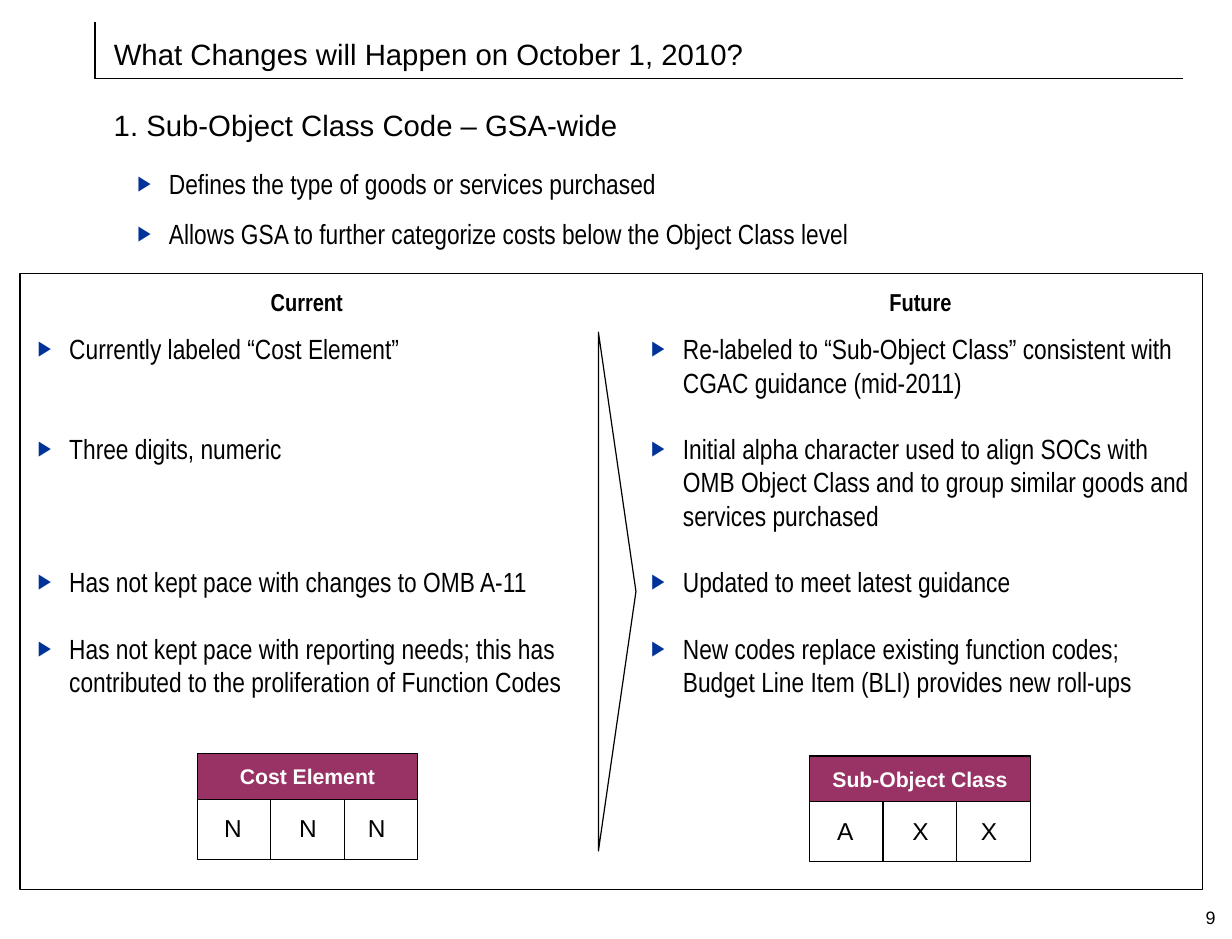
import pptx
import pptx.util
import pptx.dml.color
import pptx.enum.shapes
import pptx.enum.text
import pptx.oxml.ns
import lxml.etree

Inches = pptx.util.Inches
Pt = pptx.util.Pt
RGB = pptx.dml.color.RGBColor
Shape = pptx.enum.shapes.MSO_SHAPE
Align = pptx.enum.text.PP_ALIGN
Anchor = pptx.enum.text.MSO_ANCHOR

BLACK = RGB(0x00, 0x00, 0x00)
WHITE = RGB(0xFF, 0xFF, 0xFF)
PLUM = RGB(0x99, 0x33, 0x66)
BLUE = RGB(0x00, 0x33, 0x99)

NARROW = "Arial Narrow"
ROW = 20.4  # height of one line of list text, in points


def add_sub(parent, tag, **attrs):
    return lxml.etree.SubElement(parent, pptx.oxml.ns.qn(tag), **attrs)


def add_bullet(para):
    props = para._p.get_or_add_pPr()
    props.set("marL", str(Inches(0.27)))
    props.set("indent", str(-Inches(0.27)))
    color = add_sub(props, "a:buClr")
    add_sub(color, "a:srgbClr", val=str(BLUE))
    add_sub(props, "a:buSzPct", val="75000")
    add_sub(props, "a:buFont", typeface="Arial")
    add_sub(props, "a:buChar", char="▶")


def write(shape, lines, size=15, font="Arial", color=BLACK, bold=False,
          align=Align.LEFT, anchor=Anchor.TOP, pad=(0.05, 0.05),
          gaps=None, space=None, bullet=False):
    frame = shape.text_frame
    frame.word_wrap = True
    frame.vertical_anchor = anchor
    frame.margin_left = frame.margin_right = Inches(pad[0])
    frame.margin_top = frame.margin_bottom = Inches(pad[1])
    for i, line in enumerate(lines):
        para = frame.add_paragraph() if i else frame.paragraphs[0]
        para.alignment = align
        if space:
            para.line_spacing = space
        if gaps and gaps[i]:
            para.space_before = Pt(gaps[i])
        if bullet:
            add_bullet(para)
        run = para.add_run()
        run.text = line
        run.font.size = Pt(size)
        run.font.name = font
        run.font.bold = bold
        run.font.color.rgb = color


def add_text(slide, box, *lines, **style):
    shape = slide.shapes.add_textbox(*map(Inches, box))
    write(shape, lines, **style)


def add_list(slide, box, lines, gaps):
    add_text(slide, box, *lines, size=17, font=NARROW, pad=(0, 0),
             gaps=gaps, bullet=True)


def add_box(slide, box, kind=Shape.RECTANGLE, fill=None):
    shape = slide.shapes.add_shape(kind, *map(Inches, box))
    shape.shadow.inherit = False
    if fill is None:
        shape.fill.background()
    else:
        shape.fill.solid()
        shape.fill.fore_color.rgb = fill
    shape.line.color.rgb = BLACK
    shape.line.width = Pt(0.75)
    return shape


def add_line(slide, *ends):
    straight = pptx.enum.shapes.MSO_CONNECTOR.STRAIGHT
    line = slide.shapes.add_connector(straight, *map(Inches, ends))
    line.line.color.rgb = BLACK
    line.line.width = Pt(0.75)
    add_sub(line._element.spPr, "a:effectLst")


def add_code(slide, left, top, title, marks):
    """A titled box split into three cells, one mark in each."""
    width, high, body = 1.88, 0.52, top + 0.38
    add_box(slide, (left, body, width, high), fill=WHITE)
    for i in (1, 2):
        x = left + i * width / 3
        add_line(slide, x, body, x, body + high)
    spots = ((0, 0.61), (0.64, 0.61), (1.26, 0.54))
    for mark, (shift, wide) in zip(marks, spots):
        add_text(slide, (left + shift, body + 0.08, wide, 0.36), mark,
                 align=Align.CENTER)
    head = add_box(slide, (left, top, width, 0.39), fill=PLUM)
    write(head, [title], size=13, color=WHITE, bold=True,
          align=Align.CENTER, anchor=Anchor.MIDDLE, pad=(0.11, 0.05))


def add_side(slide, left, name, lines, skips):
    """A column heading and its list; skips are the free rows above items."""
    add_text(slide, (left + 0.6, 2.4, 3.39, 0.36), name, font=NARROW,
             bold=True, align=Align.CENTER)
    add_list(slide, (left, 2.83, 4.59, 3.5), lines,
             [skip * ROW for skip in skips])


def main():
    deck = pptx.Presentation()
    deck.slide_width, deck.slide_height = Inches(10.5), Inches(8)
    slide = deck.slides.add_slide(deck.slide_layouts[6])

    # Title with its corner rule
    add_text(slide, (0.85, 0.25, 9.19, 0.42),
             "What Changes will Happen on October 1, 2010?",
             size=18, pad=(0.12, 0.06))
    add_line(slide, 0.81, 0.67, 10.08, 0.67)
    add_line(slide, 0.81, 0.67, 0.81, 0.19)

    # Topic and what it does
    add_text(slide, (0.86, 0.92, 4.8, 0.35),
             "1. Sub-Object Class Code – GSA-wide",
             size=18, pad=(0.11, 0.05), space=0.8)
    add_list(slide, (1.17, 1.42, 6.25, 0.83),
             ["Defines the type of goods or services purchased",
              "Allows GSA to further categorize costs below the Object "
              "Class level"], [10.6, 10.6])

    # Current and future, side by side
    add_box(slide, (0.17, 2.33, 10.08, 5.25))
    add_side(slide, 0.32, "Current",
             ["Currently labeled “Cost Element”",
              "Three digits, numeric",
              "Has not kept pace with changes to OMB A-11",
              "Has not kept pace with reporting needs; this has contributed "
              "to the proliferation of Function Codes"], [0, 2, 3, 1])
    add_side(slide, 5.55, "Future",
             ["Re-labeled to “Sub-Object Class” consistent with CGAC "
              "guidance (mid-2011)",
              "Initial alpha character used to align SOCs with OMB Object "
              "Class and to group similar goods and services purchased",
              "Updated to meet latest guidance",
              "New codes replace existing function codes; Budget Line Item "
              "(BLI) provides new roll-ups"], [0, 1, 1, 1])
    arrow = add_box(slide, (3.05, 4.88, 4.42, 0.32),
                    Shape.ISOSCELES_TRIANGLE)
    arrow.rotation = 90

    # Code formats
    add_code(slide, 1.68, 6.42, "Cost Element", "NNN")
    add_code(slide, 6.9, 6.44, "Sub-Object Class", "AXX")

    # Page number
    add_text(slide, (9.66, 7.72, 0.7, 0.18), "9", size=11,
             align=Align.RIGHT, pad=(0, 0))

    deck.save("out.pptx")


if __name__ == "__main__":
    main()
